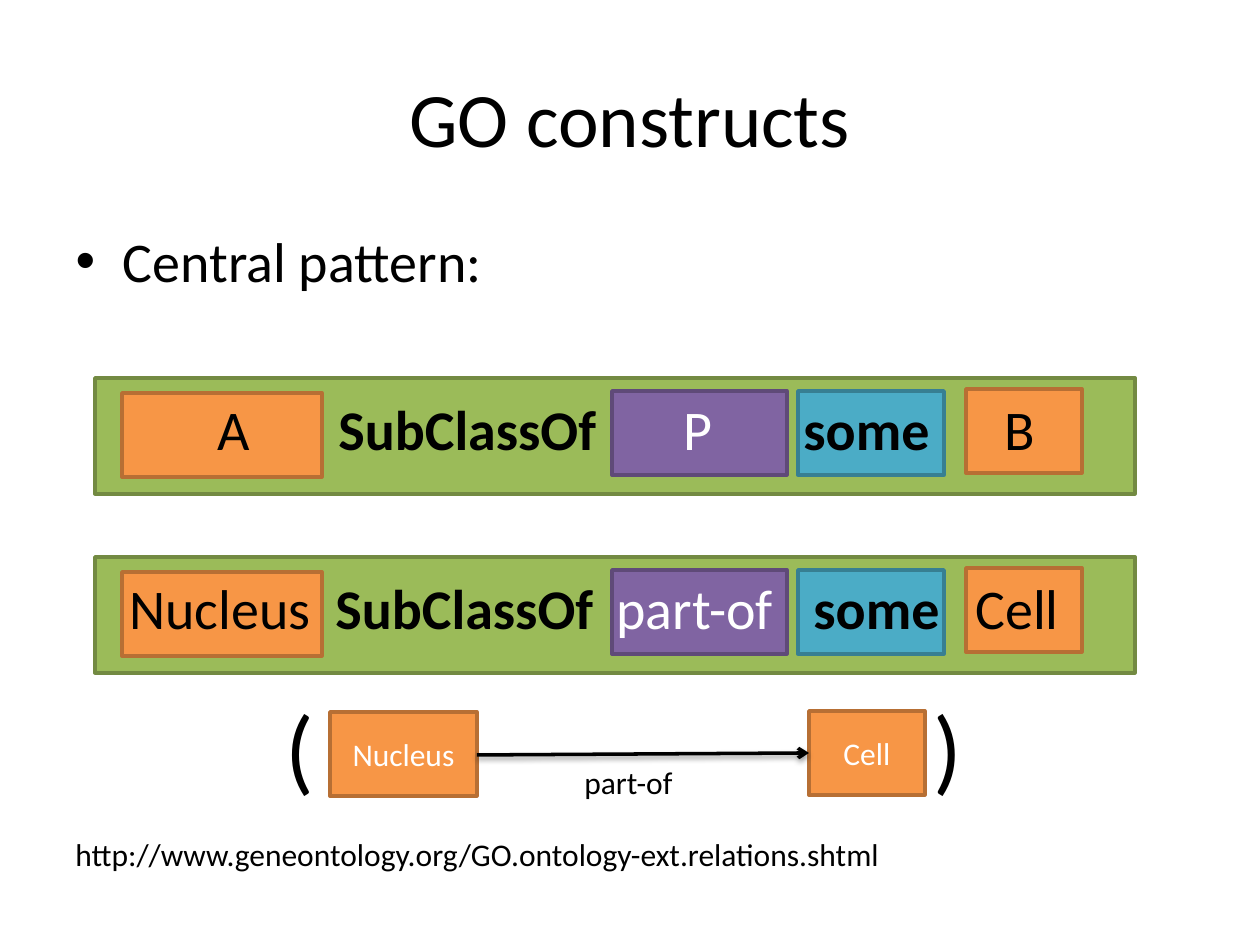
from dataclasses import dataclass
from lxml.etree import SubElement
from pptx import Presentation
from pptx.dml.color import RGBColor
from pptx.enum.shapes import MSO_CONNECTOR, MSO_SHAPE
from pptx.enum.text import MSO_ANCHOR, PP_ALIGN
from pptx.oxml import parse_xml
from pptx.oxml.ns import nsdecls, qn
from pptx.util import Pt


@dataclass(frozen=True)
class Theme:
    font: str = "Calibri"
    black: str = "000000"
    white: str = "FFFFFF"
    green: tuple = ("9BBB59", "738A42")
    purple: tuple = ("8064A2", "5F4A78")
    blue: tuple = ("4BACC6", "377F92")
    orange: tuple = ("F79646", "B76F34")
    title: int = 44
    body: int = 32
    label: int = 18
    bracket: int = 54
    line: int = 2


THEME = Theme()
EMU_PER_PX = 914400 / 126
INSET = 13

TITLE = "GO constructs"
BULLET = "Central pattern:"
ADDRESS = "http://www.geneontology.org/GO.ontology-ext.relations.shtml"
ROW_BOXES = [
    (THEME.green, 95, 0, 1040, 116),
    (THEME.purple, 612, 13, 175, 84),
    (THEME.blue, 798, 13, 146, 84),
    (THEME.orange, 966, 11, 116, 84),
    (THEME.orange, 122, 15, 200, 84),
]
WORD_STYLES = [
    (THEME.black, False),
    (THEME.black, True),
    (THEME.white, False),
    (THEME.black, True),
    (THEME.black, False),
]
PATTERNS = [
    (378, ["A", "SubClassOf", "P", "some", "B"], [218, 339, 684, 804, 1005]),
    (557, ["Nucleus", "SubClassOf", "part-of", "some", "Cell"], [130, 336, 617, 814, 976]),
]
NODES = [("Cell", 809, 711, 116, 84), ("Nucleus", 330, 712, 147, 84)]
ARROW = (477, 755, 809, 753)


def px(value):
    return round(value * EMU_PER_PX)


def place(shape, left, top, width, height):
    shape.left, shape.top, shape.width, shape.height = map(px, (left, top, width, height))


def add_run(paragraph, text, size, color=THEME.black, bold=False):
    run = paragraph.add_run()
    run.text = text
    run.font.name = THEME.font
    run.font.size = Pt(size)
    run.font.bold = bold
    run.font.color.rgb = RGBColor.from_string(color)


def add_box(slide, colors, left, top, width, height):
    box = slide.shapes.add_shape(MSO_SHAPE.RECTANGLE, *map(px, (left, top, width, height)))
    box.shadow.inherit = False
    fill, line = colors
    box.fill.solid()
    box.fill.fore_color.rgb = RGBColor.from_string(fill)
    box.line.color.rgb = RGBColor.from_string(line)
    box.line.width = Pt(THEME.line)
    return box


def add_text_paragraph(slide, left, top, width, height):
    text_box = slide.shapes.add_textbox(*map(px, (left, top, width, height)))
    text_box.text_frame.word_wrap = True
    return text_box.text_frame.paragraphs[0]


def set_tab_stops(paragraph, positions):
    tab_list = SubElement(paragraph._p.get_or_add_pPr(), qn("a:tabLst"))
    for position in positions:
        SubElement(tab_list, qn("a:tab"), pos=str(px(position)), algn="l")


def add_pattern(slide, top, words, starts):
    for colors, left, offset, width, height in ROW_BOXES:
        add_box(slide, colors, left, top + offset, width, height)
    left = 117
    paragraph = add_text_paragraph(slide, left, top + 10, 985, 91)
    origin = left + INSET
    set_tab_stops(paragraph, [start - origin for start in starts if start > origin])
    for word, start, (color, bold) in zip(words, starts, WORD_STYLES):
        lead = "\t" if start > origin else ""
        add_run(paragraph, lead + word, THEME.body, color, bold)


def add_node(slide, text, *bounds):
    frame = add_box(slide, THEME.orange, *bounds).text_frame
    frame.vertical_anchor = MSO_ANCHOR.MIDDLE
    frame.paragraphs[0].alignment = PP_ALIGN.CENTER
    add_run(frame.paragraphs[0], text, THEME.label, THEME.white)


def add_arrow(slide):
    arrow = slide.shapes.add_connector(MSO_CONNECTOR.STRAIGHT, *map(px, ARROW))
    arrow.line.color.rgb = RGBColor.from_string(THEME.black)
    arrow.line.width = Pt(THEME.line)
    SubElement(arrow.line._get_or_add_ln(), qn("a:tailEnd"), type="arrow")
    arrow._element.spPr.append(parse_xml(
        f'<a:effectLst {nsdecls("a")}>'
        '<a:outerShdw blurRad="40000" dist="20000" dir="5400000" rotWithShape="0">'
        f'<a:srgbClr val="{THEME.black}"><a:alpha val="38000"/></a:srgbClr>'
        '</a:outerShdw></a:effectLst>'
    ))


def main():
    presentation = Presentation()
    presentation.slide_width, presentation.slide_height = px(1260), px(945)
    slide = presentation.slides.add_slide(presentation.slide_layouts[1])

    title, body = slide.placeholders
    place(title, 63, 38, 1134, 158)
    add_run(title.text_frame.paragraphs[0], TITLE, THEME.title)
    place(body, 63, 220, 1134, 116)
    add_run(body.text_frame.paragraphs[0], BULLET, THEME.body)

    for pattern in PATTERNS:
        add_pattern(slide, *pattern)
    add_run(add_text_paragraph(slide, 63, 829, 1102, 50), ADDRESS, THEME.label)
    for node in NODES:
        add_node(slide, *node)
    add_arrow(slide)
    add_run(add_text_paragraph(slide, 572, 757, 125, 50), "part-of", THEME.label)
    brackets = add_text_paragraph(slide, 273, 683, 714, 127)
    set_tab_stops(brackets, [648])
    add_run(brackets, "(\t)", THEME.bracket)

    presentation.save("out.pptx")


if __name__ == "__main__":
    main()
